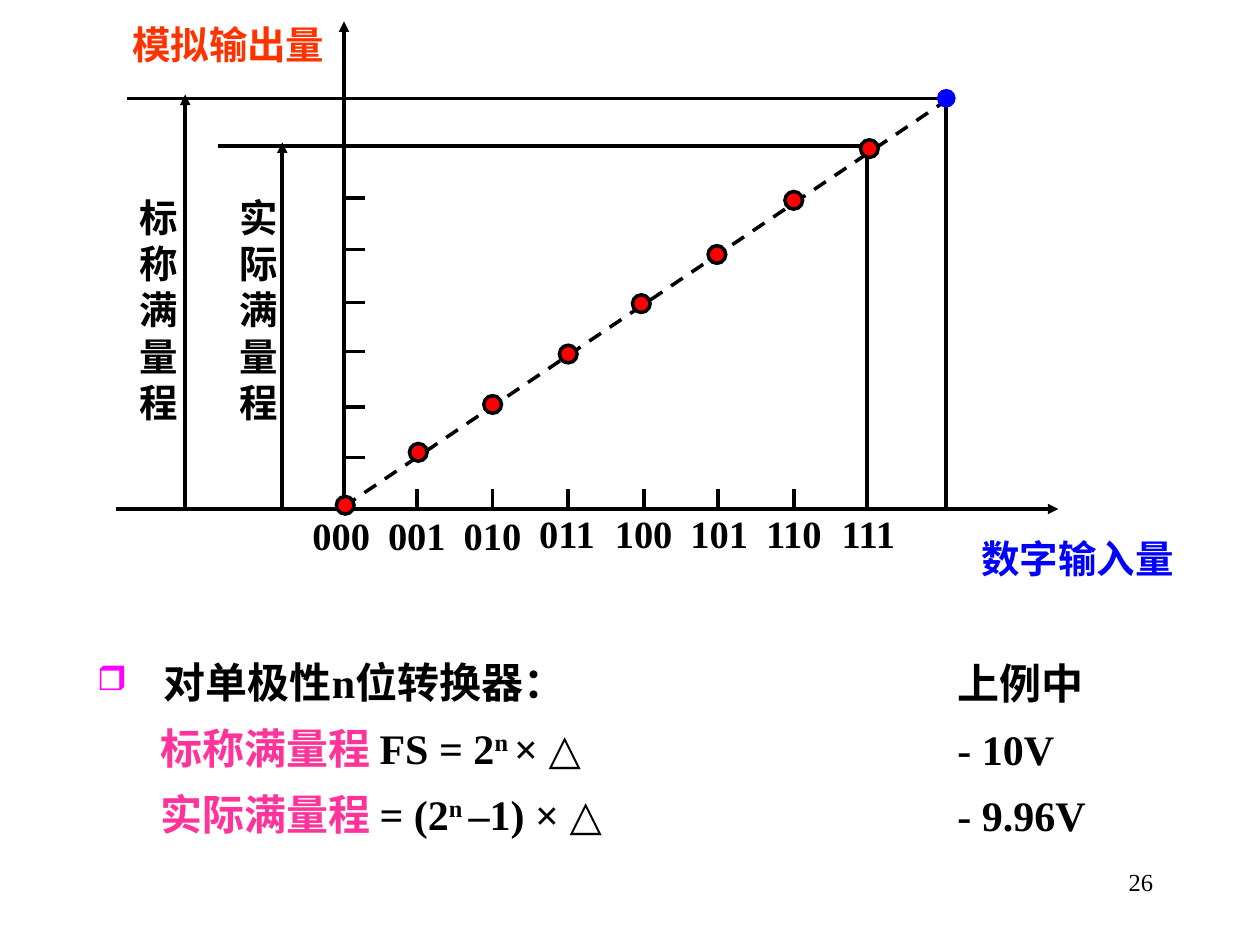
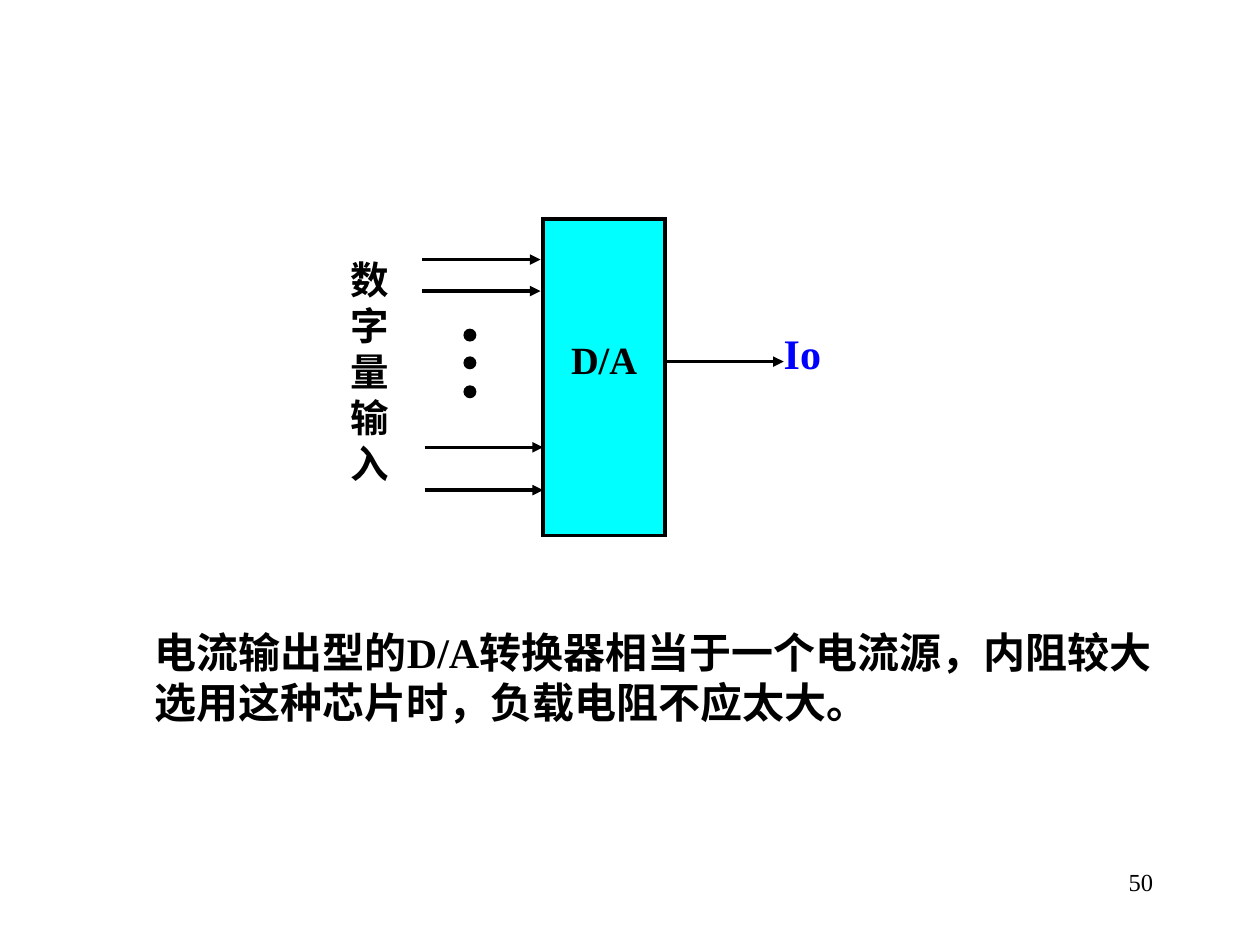
from dataclasses import dataclass

from pptx import Presentation
from pptx.dml.color import RGBColor
from pptx.enum.dml import MSO_LINE
from pptx.enum.shapes import MSO_CONNECTOR, MSO_SHAPE
from pptx.enum.text import MSO_ANCHOR, MSO_AUTO_SIZE, PP_ALIGN
from pptx.oxml.ns import qn
from pptx.util import Inches, Pt


@dataclass(frozen=True)
class Theme:
    font: str = "Times New Roman"
    bullet_font: str = "Wingdings"
    black: str = "000000"
    blue: str = "0000FF"
    red: str = "FF0000"
    orange: str = "FF3300"
    pink: str = "FF3399"
    magenta: str = "FF00FF"
    cyan: str = "00FFFF"
    label: float = 22
    body: float = 24
    number: float = 14
    line: float = 2
    first_row: float = 29
    row: float = 37.5


T = Theme()


@dataclass(frozen=True)
class Run:
    text: str
    color: str = T.black
    superscript: bool = False


@dataclass(frozen=True)
class Segment:
    x1: float
    y1: float
    x2: float
    y2: float
    arrow: bool = False
    dashed: bool = False


@dataclass(frozen=True)
class CodePoint:
    code: str
    x: float
    y: float


def box_of(*lengths: float) -> list:
    return [Inches(v) for v in lengths]


def rgb(color: str) -> RGBColor:
    return RGBColor.from_string(color)


def add_runs(p, runs: list[Run], size: float, bold: bool) -> None:
    for run in runs:
        r = p.add_run()
        r.text = run.text
        r.font.name, r.font.size, r.font.bold = T.font, Pt(size), bold
        r.font.color.rgb = rgb(run.color)
        if run.superscript:
            r.font._element.set("baseline", "30000")


def write(sp, lines: list, *, size: float = T.label, color: str = T.black,
          bold: bool = True, align=PP_ALIGN.JUSTIFY, inset: bool = False,
          spacing: list[float] | None = None) -> None:
    """Fill a shape with lines, each a string or a list of runs."""
    tf = sp.text_frame
    tf.word_wrap, tf.auto_size = True, MSO_AUTO_SIZE.NONE
    tf.vertical_anchor = MSO_ANCHOR.TOP
    tf.margin_left = tf.margin_right = Inches(0.1 if inset else 0)
    tf.margin_top = tf.margin_bottom = Inches(0.05 if inset else 0)
    for i, line in enumerate(lines):
        p = tf.paragraphs[0] if i == 0 else tf.add_paragraph()
        p.alignment, p.space_before = align, Pt(0)
        if spacing:
            p.line_spacing = Pt(spacing[i])
        runs = [Run(line, color)] if isinstance(line, str) else line
        add_runs(p, runs, size, bold)


def add_text(s, at: tuple, lines: list, **fmt):
    sp = s.shapes.add_textbox(*box_of(*at))
    write(sp, lines, **fmt)
    return sp


def add_body(s, at: tuple, lines: list, **fmt):
    """Move and fill the body placeholder."""
    sp = s.placeholders[1]
    sp.left, sp.top, sp.width, sp.height = box_of(*at)
    write(sp, lines, size=T.body, align=PP_ALIGN.LEFT, inset=True, **fmt)
    for p in sp.text_frame.paragraphs:
        set_bullet(p, 0)
    return sp


def set_bullet(p, margin: float, hanging: float = 0, char: str = "") -> None:
    pPr = p._p.get_or_add_pPr()
    pPr.set("marL", str(Inches(margin)))
    pPr.set("indent", str(-Inches(hanging)))
    for el in pPr.findall(qn("a:buNone")):
        pPr.remove(el)
    if not char:
        pPr.append(pPr.makeelement(qn("a:buNone"), {}))
        return
    clr = pPr.makeelement(qn("a:buClr"), {})
    clr.append(clr.makeelement(qn("a:srgbClr"), {"val": T.magenta}))
    pPr.append(clr)
    for tag, attrs in (("a:buSzPct", {"val": "80000"}),
                       ("a:buFont", {"typeface": T.bullet_font,
                                     "charset": "2"}),
                       ("a:buChar", {"char": char})):
        pPr.append(pPr.makeelement(qn(tag), attrs))


def add_segment(s, seg: Segment) -> None:
    c = s.shapes.add_connector(MSO_CONNECTOR.STRAIGHT,
                               *box_of(seg.x1, seg.y1, seg.x2, seg.y2))
    c.line.color.rgb, c.line.width = rgb(T.black), Pt(T.line)
    if seg.dashed:
        c.line.dash_style = MSO_LINE.DASH
    ln = c.line._get_or_add_ln()
    if seg.arrow:
        ln.append(ln.makeelement(qn("a:tailEnd"), {"type": "triangle"}))
    spPr = c._element.spPr
    spPr.append(spPr.makeelement(qn("a:effectLst"), {}))


def add_preset(s, preset, at: tuple, fill: str, line: str = T.black,
               width: float = T.line):
    sp = s.shapes.add_shape(preset, *box_of(*at))
    sp.shadow.inherit = False
    sp.fill.solid()
    sp.fill.fore_color.rgb = rgb(fill)
    sp.line.color.rgb, sp.line.width = rgb(line), Pt(width)
    ln = sp.line._get_or_add_ln()
    ln.append(ln.makeelement(qn("a:miter"), {"lim": "800000"}))
    return sp


def add_dot(s, x: float, y: float, size: float, fill: str, **outline) -> None:
    """Draw a dot centred on x, y."""
    add_preset(s, MSO_SHAPE.OVAL, (x - size / 2, y - size / 2, size, size),
               fill, **outline)


def new_slide(prs, number: str):
    s = prs.slides.add_slide(prs.slide_layouts[1])
    title = s.shapes.title._element
    title.getparent().remove(title)
    add_text(s, (7.17, 6.83, 2.08, 0.5), [number], size=T.number, bold=False,
             align=PP_ALIGN.RIGHT, inset=True)
    return s


def full_scale_slide(prs) -> None:
    s = new_slide(prs, "26")
    axis_x, axis_y = 2.73, 4.04
    nominal_x, nominal_y = 7.51, 0.78
    actual_x, actual_y = 6.88, 1.16
    points = [
        CodePoint("000", 2.74, 4.01), CodePoint("001", 3.32, 3.59),
        CodePoint("010", 3.91, 3.21), CodePoint("011", 4.51, 2.81),
        CodePoint("100", 5.09, 2.41), CodePoint("101", 5.69, 2.02),
        CodePoint("110", 6.3, 1.59), CodePoint("111", 6.9, 1.18),
    ]
    output_ticks = [3.63, 3.23, 2.79, 2.4, 1.98, 1.57, actual_y, nominal_y]
    input_ticks = [3.31, 3.91, 4.51, 5.11, 5.7, 6.3, actual_x, nominal_x]

    segments = [
        Segment(0.92, axis_y, 8.4, axis_y, arrow=True),
        Segment(axis_x, axis_y, axis_x, 0.17, arrow=True),
        Segment(nominal_x, axis_y, nominal_x, nominal_y),
        Segment(1.01, nominal_y, nominal_x, nominal_y),
        Segment(actual_x, axis_y, actual_x, actual_y),
        Segment(1.73, actual_y, actual_x, actual_y),
        Segment(2.24, axis_y, 2.24, 1.13, arrow=True),
        Segment(1.47, axis_y, 1.47, 0.75, arrow=True),
        Segment(axis_x, 4.02, 7.58, 0.75, dashed=True),
    ]
    segments += [Segment(2.72, y, 2.9, y) for y in output_ticks]
    segments += [Segment(x, axis_y, x, 3.88) for x in input_ticks]
    for seg in segments:
        add_segment(s, seg)

    for i, point in enumerate(points):
        top = 4.06 if i < 3 else 4.05
        add_text(s, (2.48 + 0.6 * i, top, 0.47, 0.39), [point.code])
        add_dot(s, point.x, point.y, 0.14, T.red)
    add_dot(s, nominal_x, nominal_y, 0.12, T.blue, line=T.blue)

    add_text(s, (7.79, 4.25, 1.71, 0.46), ["数字输入量"], color=T.blue)
    add_text(s, (1.05, 0.17, 1.65, 0.39), ["模拟输出量"], color=T.orange)
    for x, label in ((1.11, "标称满量程"), (1.9, "实际满量程")):
        add_text(s, (x, 1.54, 0.31, 2.28), list(label))

    rows = [T.first_row, T.row, T.row]
    body = add_body(s, (0.67, 5.16, 6.6, 1.6), [
        "对单极性n位转换器：",
        [Run("标称满量程 ", T.pink), Run("FS = 2"),
         Run("n ", superscript=True), Run("× △")],
        [Run("实际满量程 ", T.pink), Run("= (2"),
         Run("n ", superscript=True), Run("–1) × △")],
    ], spacing=rows)
    heading, *formulas = body.text_frame.paragraphs
    set_bullet(heading, 0.53, 0.53, "r")
    for p in formulas:
        set_bullet(p, 0.5)
    add_text(s, (7.5, 5.17, 1.75, 1.6), ["上例中", "- 10V", "- 9.96V"],
             size=T.body, align=PP_ALIGN.LEFT, inset=True, spacing=rows)


def current_output_slide(prs) -> None:
    s = new_slide(prs, "50")
    add_text(s, (2.78, 2.03, 0.45, 2.28), list("数字量输入"))

    converter = add_preset(s, MSO_SHAPE.RECTANGLE, (4.31, 1.74, 0.97, 2.51),
                           T.cyan)
    write(converter, ["D/A"], align=PP_ALIGN.CENTER, inset=True)
    converter.text_frame.margin_top = Inches(0.93)

    for x, y in ((3.35, 2.06), (3.35, 2.31), (3.37, 3.55), (3.37, 3.89),
                 (5.28, 2.87)):
        add_segment(s, Segment(x, y, x + 0.94, y, arrow=True))
    for y in (2.66, 2.88, 3.11):
        add_dot(s, 3.73, y, 0.06, T.black, width=3)

    add_text(s, (6.22, 2.6, 0.51, 0.5), ["Io"], size=T.body, color=T.blue)
    add_body(s, (1.13, 4.92, 8.5, 0.9), [
        "电流输出型的D/A转换器相当于一个电流源，内阻较大",
        "选用这种芯片时，负载电阻不应太大。",
    ])


def main() -> None:
    prs = Presentation()
    prs.slide_width, prs.slide_height = Inches(10), Inches(7.5)
    full_scale_slide(prs)
    current_output_slide(prs)
    prs.save("out.pptx")


if __name__ == "__main__":
    main()
